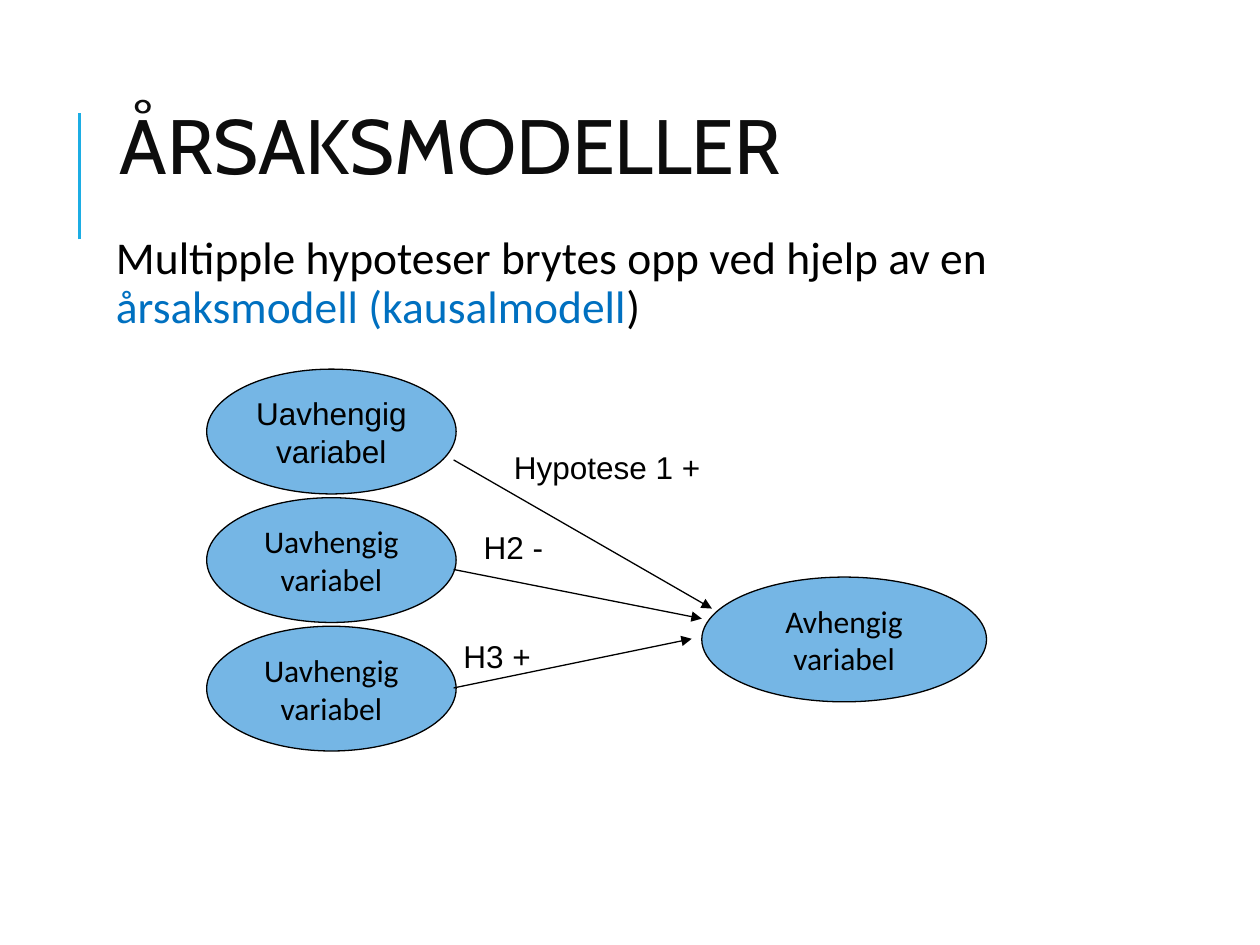
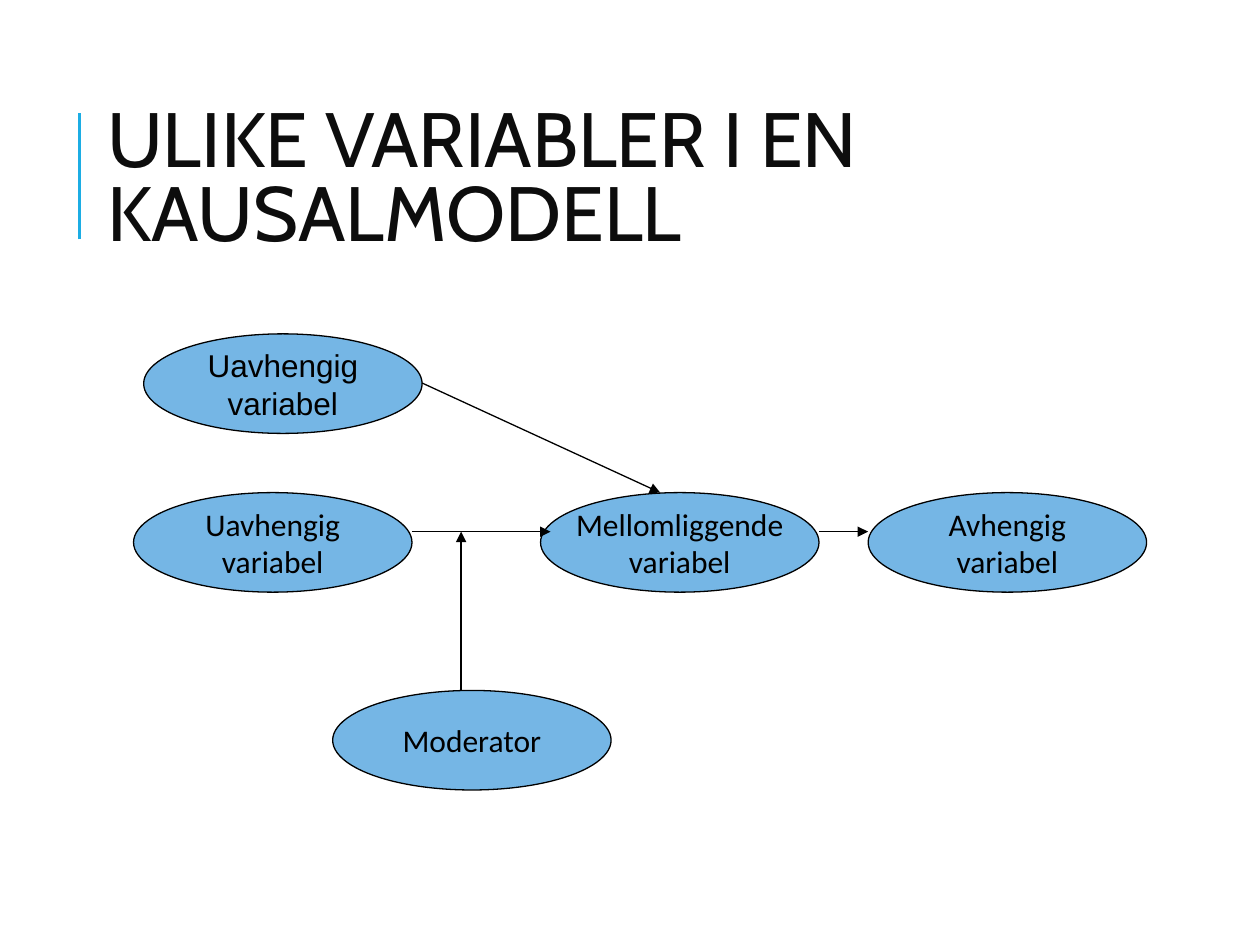
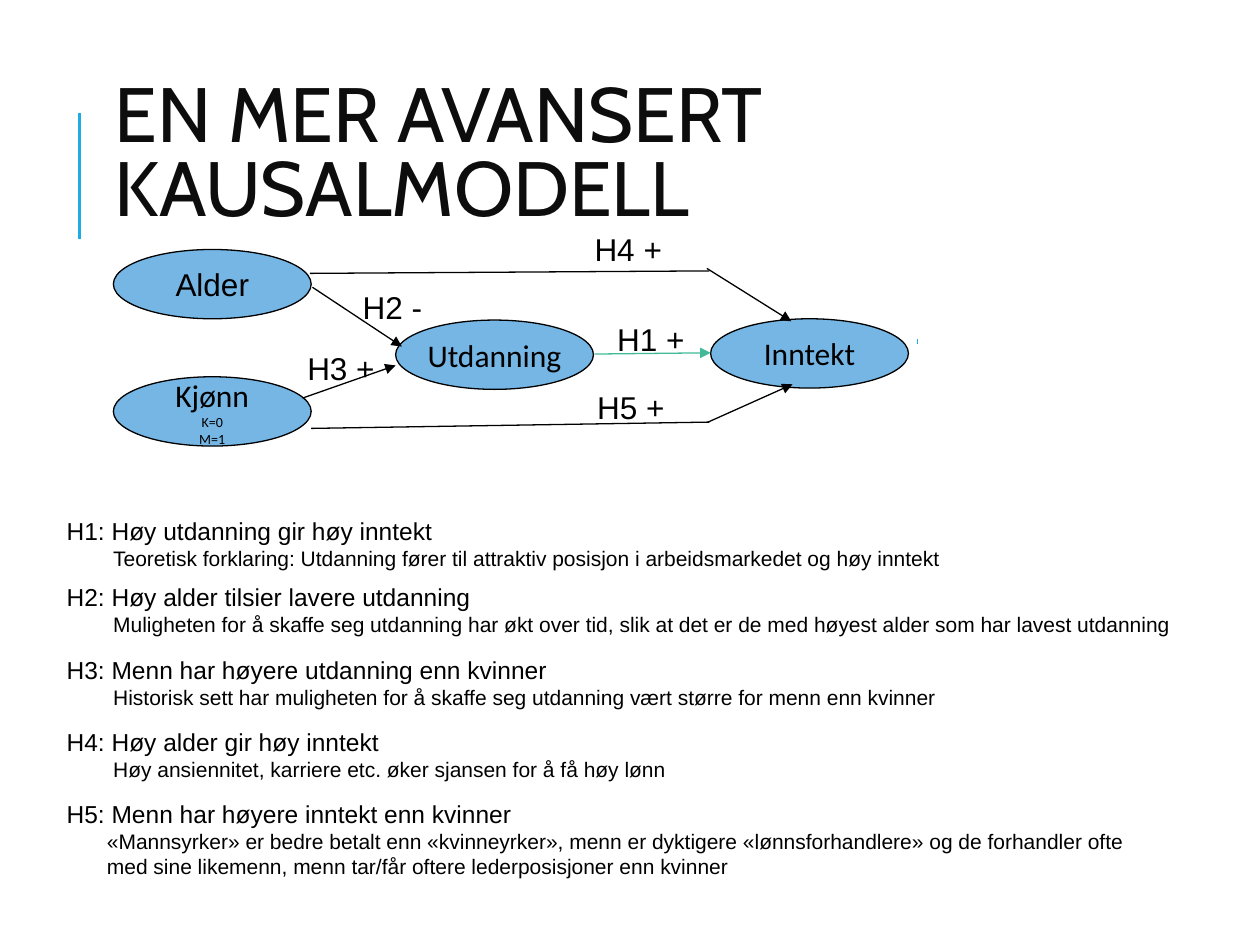
from pptx import Presentation
from pptx import util as u
from pptx.dml.color import RGBColor
from pptx.enum import shapes, text
from pptx.oxml.ns import qn
from lxml import etree

PX = 9144  # EMU per px, 100 px to the inch

BLACK = RGBColor(0x00, 0x00, 0x00)
TITLE_INK = RGBColor(0x0D, 0x0D, 0x0D)
ACCENT = RGBColor(0x1C, 0xAD, 0xE4)
OVAL_BLUE = RGBColor(0x75, 0xB6, 0xE5)
TERM_BLUE = RGBColor(0x00, 0x70, 0xC0)
GREEN = RGBColor(0x42, 0xBA, 0x97)

TITLE_FONT = "Cabin"
BODY_FONT = "Calibri"
LABEL_FONT = "Arial"


def px(*lengths):
    return [u.Emu(length * PX) for length in lengths]


def style(paragraph, font, size, color=BLACK):
    paragraph.font.name = font
    paragraph.font.size = u.Pt(size)
    paragraph.font.color.rgb = color


def indent(paragraph, margin):
    props = paragraph._p.get_or_add_pPr()
    props.set("marL", str(margin * PX))
    props.set("indent", "0")


def add_line(slide, start, end, color=BLACK, width=0.75, arrow=False):
    line = slide.shapes.add_connector(
        shapes.MSO_CONNECTOR.STRAIGHT, *px(*start, *end))
    line.line.color.rgb = color
    line.line.width = u.Pt(width)
    if arrow:
        etree.SubElement(line.line._get_or_add_ln(), qn("a:tailEnd"), type="triangle")
    etree.SubElement(line._element.spPr, qn("a:effectLst"))


def add_arrow(slide, start, end, color=BLACK):
    add_line(slide, start, end, color, arrow=True)


def add_titled_slide(prs, title_text, box):
    """Title-only slide with the accent bar beside its title."""
    slide = prs.slides.add_slide(prs.slide_layouts[5])
    title = slide.shapes.title
    title.left, title.top, title.width, title.height = px(*box)
    frame = title.text_frame
    frame.text = title_text
    frame.auto_size = text.MSO_AUTO_SIZE.NONE
    frame.vertical_anchor = text.MSO_ANCHOR.MIDDLE
    heading = frame.paragraphs[0]
    heading.alignment = text.PP_ALIGN.LEFT
    heading.line_spacing = 0.8
    style(heading, TITLE_FONT, 44, TITLE_INK)
    add_line(slide, (63, 190), (63, 90), ACCENT, 1.5)
    return slide


def add_variable(slide, box, name, font=BODY_FONT, wrap=False, coding=""):
    """Oval for one variable, with its coding in small print below the name."""
    oval = slide.shapes.add_shape(shapes.MSO_SHAPE.OVAL, *px(*box))
    oval.shadow.inherit = False
    oval.fill.solid()
    oval.fill.fore_color.rgb = OVAL_BLUE
    oval.line.color.rgb = BLACK
    oval.line.width = u.Pt(0.75)
    frame = oval.text_frame
    frame.word_wrap = wrap
    frame.vertical_anchor = text.MSO_ANCHOR.MIDDLE
    frame.text = f"{name}\n{coding}" if coding else name
    name_lines = name.count("\n") + 1
    for i, paragraph in enumerate(frame.paragraphs):
        paragraph.alignment = text.PP_ALIGN.CENTER
        style(paragraph, font, 18 if i < name_lines else 8)


def add_label(slide, left, top, label, width=75):
    """One-line label whose box grows with its text."""
    frame = slide.shapes.add_textbox(*px(left, top, width, 40)).text_frame
    frame.word_wrap = False
    frame.auto_size = text.MSO_AUTO_SIZE.SHAPE_TO_FIT_TEXT
    frame.text = label
    style(frame.paragraphs[0], LABEL_FONT, 18)


def add_hypothesis(slide, top, claim, reasons, margin=37):
    height = 34 + 20 * len(reasons)
    frame = slide.shapes.add_textbox(*px(43, top, 945, height)).text_frame
    frame.word_wrap = True
    frame.text = "\n".join([claim, *reasons])
    style(frame.paragraphs[0], LABEL_FONT, 14)
    for reason in frame.paragraphs[1:]:
        style(reason, LABEL_FONT, 12)
        indent(reason, margin)


def add_intro(slide):
    intro = slide.shapes.add_textbox(*px(77, 182, 838, 484)).text_frame
    intro.word_wrap = True
    intro.margin_left = intro.margin_right = px(5)[0]
    sentence = intro.paragraphs[0]
    sentence.line_spacing = 0.9
    style(sentence, BODY_FONT, 26)
    indent(sentence, 10)
    for part, color in (("Multipple hypoteser brytes opp ved hjelp av en ", BLACK),
                        ("årsaksmodell (kausalmodell", TERM_BLUE),
                        (")", BLACK)):
        run = sentence.add_run()
        run.text = part
        run.font.color.rgb = color


def build_cause_models(prs):
    slide = add_titled_slide(prs, "ÅRSAKSMODELLER", (85, 59, 797, 123))
    add_intro(slide)

    # Three independent variables lead to one dependent variable
    for row, font in enumerate((LABEL_FONT, BODY_FONT, BODY_FONT)):
        add_variable(slide, (164, 293 + 102 * row, 198, 99),
                     "Uavhengig variabel", font, wrap=True)
    add_variable(slide, (557, 458, 226, 99), "Avhengig variabel", wrap=True)
    for start, end in (((360, 365), (565, 483)),
                       ((360, 452), (557, 491)),
                       ((360, 546), (549, 507))):
        add_arrow(slide, start, end)
    add_label(slide, 398, 351, "Hypotese 1 +", 168)
    add_label(slide, 374, 414, "H2 -", 67)
    add_label(slide, 358, 501, "H3 +")


def build_variable_types(prs):
    slide = add_titled_slide(prs, "ULIKE VARIABLER I EN KAUSALMODELL",
                             (75, 73, 788, 144))
    for left, top, name, font in (
            (689, 391, "Avhengig\nvariabel", BODY_FONT),
            (429, 391, "Mellomliggende\nvariabel", BODY_FONT),
            (106, 391, "Uavhengig\nvariabel", BODY_FONT),
            (114, 265, "Uavhengig\nvariabel", LABEL_FONT),
            (264, 548, "Moderator", BODY_FONT)):
        add_variable(slide, (left, top, 221, 79), name, font)
    for start, end in (((335, 304), (524, 391)),
                       ((327, 422), (437, 422)),
                       ((366, 548), (366, 422)),
                       ((650, 422), (689, 422))):
        add_arrow(slide, start, end)


def build_advanced_model(prs):
    slide = add_titled_slide(prs, "EN MER AVANSERT KAUSALMODELL",
                             (81, 43, 797, 164))

    # Variables
    for left, top, name, font, coding in (
            (564, 253, "Inntekt", BODY_FONT, ""),
            (314, 254, "Utdanning", BODY_FONT, ""),
            (90, 299, "Kjønn", BODY_FONT, "K=0\nM=1"),
            (90, 198, "Alder", LABEL_FONT, "")):
        add_variable(slide, (left, top, 157, 55), name, font, coding=coding)

    # Effects; the two outer ones bend on their way to income
    add_arrow(slide, (248, 228), (319, 275))
    add_arrow(slide, (240, 316), (314, 290))
    add_arrow(slide, (472, 281), (564, 280), GREEN)
    add_line(slide, (246, 217), (563, 215))
    add_arrow(slide, (561, 213), (628, 255))
    add_line(slide, (247, 340), (563, 335))
    add_arrow(slide, (562, 335), (629, 305))
    add_line(slide, (728, 273), (728, 269), ACCENT)
    add_label(slide, 480, 249, "H1 +")
    add_label(slide, 278, 224, "H2 -", 67)
    add_label(slide, 234, 272, "H3 +")
    add_label(slide, 462, 178, "H4 +")
    add_label(slide, 464, 303, "H5 +")

    # Hypotheses
    add_hypothesis(slide, 405, "H1: Høy utdanning gir høy inntekt", [
        "Teoretisk forklaring: Utdanning fører til attraktiv posisjon i "
        "arbeidsmarkedet og høy inntekt"])
    add_hypothesis(slide, 457, "H2: Høy alder tilsier lavere utdanning", [
        "Muligheten for å skaffe seg utdanning har økt over tid, slik at det er "
        "de med høyest alder som har lavest utdanning"])
    add_hypothesis(slide, 515, "H3: Menn har høyere utdanning enn kvinner", [
        "Historisk sett har muligheten for å skaffe seg utdanning vært større "
        "for menn enn kvinner"])
    add_hypothesis(slide, 572, "H4: Høy alder gir høy inntekt", [
        "Høy ansiennitet, karriere etc. øker sjansen for å få høy lønn"])
    add_hypothesis(slide, 629, "H5: Menn har høyere inntekt enn kvinner", [
        "«Mannsyrker» er bedre betalt enn «kvinneyrker», menn er dyktigere "
        "«lønnsforhandlere» og de forhandler ofte",
        "med sine likemenn, menn tar/får oftere lederposisjoner enn kvinner"],
        margin=32)


def main():
    prs = Presentation()
    prs.slide_width, prs.slide_height = px(1000, 750)
    build_cause_models(prs)
    build_variable_types(prs)
    build_advanced_model(prs)
    prs.save("out.pptx")


if __name__ == "__main__":
    main()
